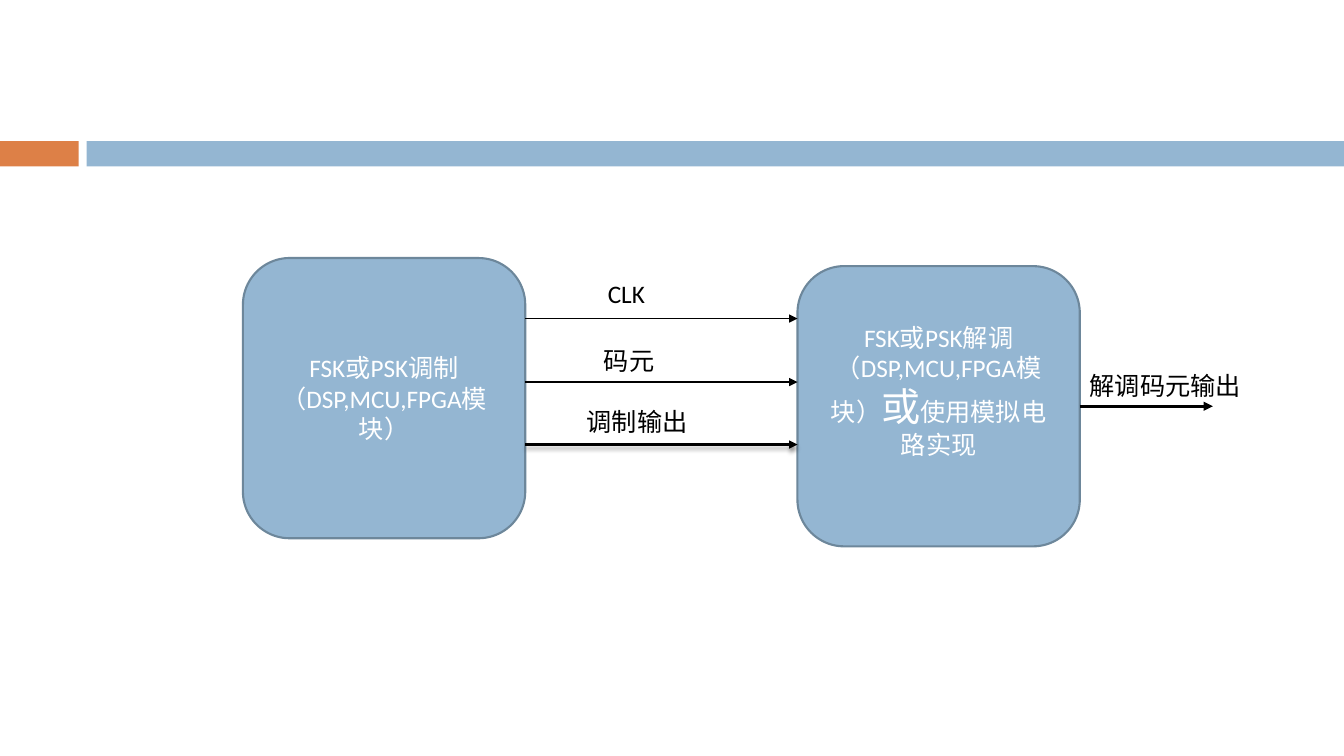
"""Build a block diagram of an FSK/PSK modulator feeding a demodulator."""
from typing import NamedTuple

from lxml.etree import SubElement
from pptx import Presentation
from pptx.dml.color import RGBColor
from pptx.enum.shapes import MSO_CONNECTOR, MSO_SHAPE
from pptx.enum.text import MSO_ANCHOR, MSO_AUTO_SIZE, PP_ALIGN
from pptx.oxml.ns import qn
from pptx.util import Inches, Pt

COLORS = {
    "orange": "DD8047",
    "blue": "94B6D2",
    "outline": "6D879B",
    "white": "FFFFFF",
    "black": "000000",
}
FONT = "Calibri"
MODULATOR_RIGHT, DEMODULATOR_LEFT, DEMODULATOR_RIGHT = 5.21, 7.91, 10.71


class Run(NamedTuple):
    text: str
    size: float = 18


class Bar(NamedTuple):
    left: float
    width: float
    color: str


class Block(NamedTuple):
    left: float
    top: float
    paragraphs: list[list[Run]]
    bottom_inset: float = 0.05


class Signal(NamedTuple):
    label: str
    label_left: float
    label_top: float
    label_width: float
    start: float
    end: float
    y: float
    weight: float
    shadow: bool = False


BARS = [Bar(0, 0.78, "orange"), Bar(0.86, 12.47, "blue")]
BLOCKS = [
    Block(2.41, 2.56, [[Run("FSK或PSK调制")], [Run("（DSP,MCU,FPGA模块）")]]),
    Block(
        DEMODULATOR_LEFT,
        2.64,
        [
            [Run("FSK或PSK解调")],
            [Run("（DSP,MCU,FPGA模块）"), Run("或", 28), Run("使用模拟电路实现")],
        ],
        bottom_inset=0.35,
    ),
]
SIGNALS = [
    Signal("CLK", 5.93, 2.71, 0.59, MODULATOR_RIGHT, DEMODULATOR_LEFT, 3.16, 0.79),
    Signal("码元", 5.89, 3.38, 0.71, MODULATOR_RIGHT, DEMODULATOR_LEFT, 3.79, 0.79),
    Signal("调制输出", 5.72, 3.98, 1.21, MODULATOR_RIGHT, DEMODULATOR_LEFT, 4.41, 1.5, True),
    Signal("解调码元输出", 10.71, 3.62, 1.72, DEMODULATOR_RIGHT, 12.03, 4.03, 2.25),
]


def rgb(name: str) -> RGBColor:
    return RGBColor.from_string(COLORS[name])


def add_run(p, run: Run, color: str) -> None:
    r = p.add_run()
    r.text = run.text
    r.font.name = FONT
    r.font.size = Pt(run.size)
    r.font.color.rgb = rgb(color)


def add_filled(slide, kind, left: float, top: float, width: float, height: float, color: str):
    sp = slide.shapes.add_shape(kind, Inches(left), Inches(top), Inches(width), Inches(height))
    sp.shadow.inherit = False
    sp.fill.solid()
    sp.fill.fore_color.rgb = rgb(color)
    return sp


def add_bar(slide, bar: Bar) -> None:
    sp = add_filled(slide, MSO_SHAPE.RECTANGLE, bar.left, 1.4, bar.width, 0.25, bar.color)
    sp.line.fill.background()


def add_block(slide, block: Block) -> None:
    sp = add_filled(slide, MSO_SHAPE.ROUNDED_RECTANGLE, block.left, block.top, 2.8, 2.78, "blue")
    sp.line.color.rgb = rgb("outline")
    sp.line.width = Pt(1.5)
    tf = sp.text_frame
    tf.word_wrap = True
    tf.vertical_anchor = MSO_ANCHOR.MIDDLE
    tf.margin_bottom = Inches(block.bottom_inset)
    for i, runs in enumerate(block.paragraphs):
        p = tf.add_paragraph() if i else tf.paragraphs[0]
        p.alignment = PP_ALIGN.CENTER
        for run in runs:
            add_run(p, run, "white")


def add_arrow(slide, signal: Signal) -> None:
    y = Inches(signal.y)
    cxn = slide.shapes.add_connector(
        MSO_CONNECTOR.STRAIGHT, Inches(signal.start), y, Inches(signal.end), y
    )
    cxn.line.color.rgb = rgb("black")
    cxn.line.width = Pt(signal.weight)
    SubElement(cxn.line._get_or_add_ln(), qn("a:tailEnd"), type="triangle")
    effects = SubElement(cxn._element.spPr, qn("a:effectLst"))
    if signal.shadow:
        shadow = SubElement(
            effects,
            qn("a:outerShdw"),
            blurRad=str(Pt(3)),
            dist=str(Pt(2.4)),
            dir="5400000",
            rotWithShape="0",
        )
        color = SubElement(shadow, qn("a:srgbClr"), val=COLORS["black"])
        SubElement(color, qn("a:alpha"), val="45000")


def add_label(slide, signal: Signal) -> None:
    sp = slide.shapes.add_textbox(
        Inches(signal.label_left),
        Inches(signal.label_top),
        Inches(signal.label_width),
        Inches(0.4),
    )
    tf = sp.text_frame
    tf.word_wrap = False
    tf.auto_size = MSO_AUTO_SIZE.SHAPE_TO_FIT_TEXT
    add_run(tf.paragraphs[0], Run(signal.label), "black")


def main() -> None:
    prs = Presentation()
    prs.slide_width, prs.slide_height = Inches(13.33), Inches(7.5)
    slide = prs.slides.add_slide(prs.slide_layouts[6])
    for bar in BARS:
        add_bar(slide, bar)
    for block in BLOCKS:
        add_block(slide, block)
    for signal in SIGNALS:
        add_arrow(slide, signal)
        add_label(slide, signal)
    prs.save("out.pptx")


if __name__ == "__main__":
    main()
